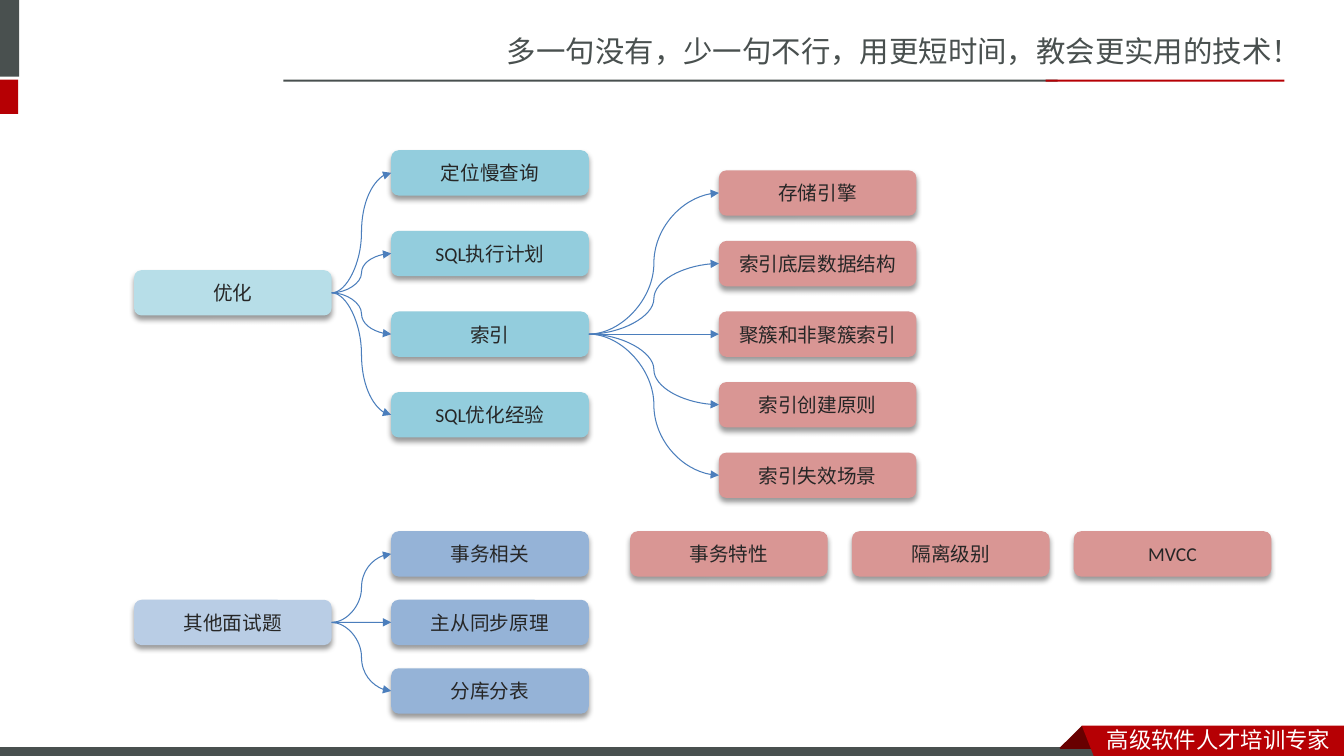
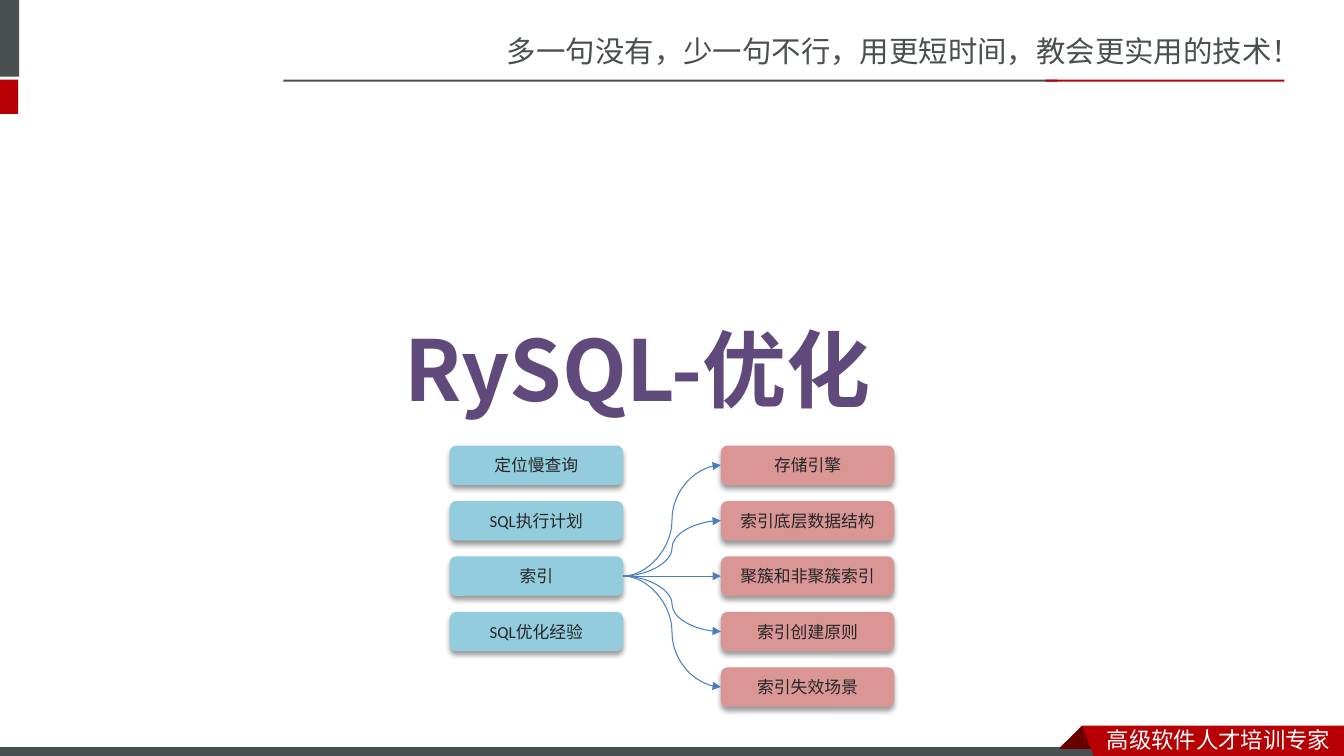
from lxml import etree
from pptx import Presentation
from pptx.dml.color import RGBColor
from pptx.enum.shapes import MSO_CONNECTOR, MSO_SHAPE
from pptx.enum.text import MSO_ANCHOR, PP_ALIGN
from pptx.oxml import parse_xml
from pptx.oxml.ns import nsdecls, qn
from pptx.util import Inches, Pt

RECTANGLE, ROUNDED = MSO_SHAPE.RECTANGLE, MSO_SHAPE.ROUNDED_RECTANGLE
CURVE = MSO_CONNECTOR.CURVE
LEFT, CENTER = PP_ALIGN.LEFT, PP_ALIGN.CENTER
TOP, MIDDLE = MSO_ANCHOR.TOP, MSO_ANCHOR.MIDDLE
LEFT_SITE, RIGHT_SITE = 1, 3
TITLE_ONLY, BLANK = 5, 6

WHITE = RGBColor(0xFF, 0xFF, 0xFF)
GRAY = RGBColor(0x49, 0x50, 0x4F)
RED = RGBColor(0xB6, 0x00, 0x04)
DARK_RED = RGBColor(0x68, 0x00, 0x00)
INK = RGBColor(0x26, 0x26, 0x26)
PURPLE = RGBColor(0x60, 0x4A, 0x7B)
ARROW = RGBColor(0x4B, 0x7E, 0xBC)
PALE_TEAL = RGBColor(0xB7, 0xDE, 0xE8)
TEAL = RGBColor(0x93, 0xCD, 0xDD)
PALE_BLUE = RGBColor(0xB9, 0xCD, 0xE5)
BLUE = RGBColor(0x95, 0xB3, 0xD7)
PINK = RGBColor(0xD9, 0x96, 0x94)

CJK_FONT, TITLE_FONT, NODE_FONT = "Noto Sans CJK SC", "Noto Sans CJK JP", "Calibri"

TAGLINE = "多一句没有，少一句不行，用更短时间，教会更实用的技术！"
SLOGAN = "高级软件人才培训专家"
TITLE = "RySQL-优化"
TUNING = ["定位慢查询", "SQL执行计划", "索引", "SQL优化经验"]
INDEXES = ["存储引擎", "索引底层数据结构", "聚簇和非聚簇索引", "索引创建原则", "索引失效场景"]
OTHERS = ["事务相关", "主从同步原理", "分库分表"]
TRANSACTIONS = ["事务特性", "隔离级别", "MVCC"]
INDEX_ROW = TUNING.index("索引")

# left, top, width, height, fill, outline
BANDS = [
    (-0.06, 0, 0.25, 0.76, GRAY, None),
    (-0.06, 0.79, 0.24, 0.34, RED, None),
    (2.81, 0.79, 7.68, 0.02, GRAY, None),
    (10.37, 0.79, 2.37, 0.02, RED, None),
    (-0.01, 7.41, 11, 0.12, GRAY, WHITE),
]
RIBBON_FOLD = [(10.73, 7.2), (10.95, 7.42), (10.94, 7.43), (10.52, 7.43), (10.51, 7.42)]
RIBBON = [(10.73, 7.2), (13.33, 7.2), (13.33, 7.54), (10.86, 7.53)]

LARGE = {"size": (1.96, 0.45), "points": 14}
SMALL = {"size": (1.72, 0.39), "points": 12}


def write(paragraph, text, points, color, font, bold=False):
    run = paragraph.add_run()
    run.text = text
    run.font.size, run.font.bold, run.font.name = Pt(points), bold, font
    run.font.color.rgb = color
    properties = run._r.get_or_add_rPr()
    properties.set("lang", "zh-CN")
    east_asian = CJK_FONT if font == NODE_FONT else font
    etree.SubElement(properties, qn("a:ea")).set("typeface", east_asian)


def paint(shape, fill, outline=None):
    shape.shadow.inherit = False
    shape.fill.solid()
    shape.fill.fore_color.rgb = fill
    if outline is None:
        shape.line.fill.background()
    else:
        shape.line.color.rgb = outline
        shape.line.width = Pt(0.75)


def add_polygon(slide, points, fill):
    corners = [(Inches(x), Inches(y)) for x, y in points]
    builder = slide.shapes.build_freeform(*corners[0], scale=1.0)
    builder.add_line_segments(corners[1:], close=True)
    paint(builder.convert_to_shape(), fill)


def add_label(slide, text, box, points, color):
    frame = slide.shapes.add_textbox(*map(Inches, box)).text_frame
    frame.word_wrap = True
    write(frame.paragraphs[0], text, points, color, CJK_FONT)


def add_frame(slide):
    """Draw the header, side bands and footer ribbon that every slide carries."""
    add_label(slide, TAGLINE, (4.93, 0.28, 8.41, 0.47), 21, GRAY)
    for *box, fill, outline in BANDS:
        band = slide.shapes.add_shape(RECTANGLE, *map(Inches, box))
        paint(band, fill, outline)
    add_polygon(slide, RIBBON_FOLD, DARK_RED)
    add_polygon(slide, RIBBON, RED)
    add_label(slide, SLOGAN, (10.88, 7.15, 2.45, 0.37), 16, WHITE)


def add_node(slide, text, left, top, fill, size, points):
    node = slide.shapes.add_shape(ROUNDED, *map(Inches, (left, top, *size)))
    paint(node, fill)
    node._element.spPr.find(qn("a:effectLst")).append(parse_xml(
        f'<a:outerShdw {nsdecls("a")} blurRad="50800" dist="38100" dir="5400000" '
        'algn="t" rotWithShape="0"><a:srgbClr val="000000"><a:alpha val="40000"/>'
        '</a:srgbClr></a:outerShdw>'))
    frame = node.text_frame
    frame.vertical_anchor = MIDDLE
    frame.word_wrap = True
    frame.paragraphs[0].alignment = CENTER
    write(frame.paragraphs[0], text, points, INK, NODE_FONT)
    return node


def add_series(slide, texts, left, top, fill, style, across=0, down=0):
    """Place nodes at equal steps across or down and return them."""
    return [add_node(slide, text, left + i * across, top + i * down, fill, **style)
            for i, text in enumerate(texts)]


def fan_out(slide, source, targets):
    for target in targets:
        arrow = slide.shapes.add_connector(CURVE, 0, 0, 0, 0)
        arrow.begin_connect(source, RIGHT_SITE)
        arrow.end_connect(target, LEFT_SITE)
        arrow.line.color.rgb = ARROW
        arrow.line.width = Pt(0.75)
        properties = arrow._element.spPr
        etree.SubElement(properties.find(qn("a:ln")), qn("a:tailEnd")).set("type", "triangle")
        etree.SubElement(properties, qn("a:effectLst"))


def build_overview(presentation):
    slide = presentation.slides.add_slide(presentation.slide_layouts[BLANK])
    add_frame(slide)
    tuning_root = add_node(slide, "优化", 1.33, 2.68, PALE_TEAL, **LARGE)
    others_root = add_node(slide, "其他面试题", 1.33, 5.95, PALE_BLUE, **LARGE)
    tuning = add_series(slide, TUNING, 3.88, 1.49, TEAL, LARGE, down=0.8)
    indexes = add_series(slide, INDEXES, 7.13, 1.69, PINK, LARGE, down=0.7)
    others = add_series(slide, OTHERS, 3.88, 5.27, BLUE, LARGE, down=0.68)
    add_series(slide, TRANSACTIONS, 6.25, 5.27, PINK, LARGE, across=2.2)
    fan_out(slide, tuning_root, tuning)
    fan_out(slide, tuning[INDEX_ROW], indexes)
    fan_out(slide, others_root, others)


def build_section(presentation):
    slide = presentation.slides.add_slide(presentation.slide_layouts[TITLE_ONLY])
    add_frame(slide)
    title = slide.shapes.title
    title.left, title.top, title.width, title.height = map(Inches, (3.91, 2.6, 5.51, 1.56))
    title.text_frame.vertical_anchor = TOP
    paragraph = title.text_frame.paragraphs[0]
    paragraph.alignment = LEFT
    paragraph.line_spacing = 1.5
    paragraph.space_before = Pt(12)
    write(paragraph, TITLE, 60, PURPLE, TITLE_FONT, bold=True)
    tuning = add_series(slide, TUNING, 4.46, 4.42, TEAL, SMALL, down=0.55)
    indexes = add_series(slide, INDEXES, 7.15, 4.42, PINK, SMALL, down=0.55)
    fan_out(slide, tuning[INDEX_ROW], indexes)


def main():
    presentation = Presentation()
    presentation.slide_width, presentation.slide_height = Inches(13.33), Inches(7.5)
    build_overview(presentation)
    build_section(presentation)
    presentation.save("out.pptx")


if __name__ == "__main__":
    main()
